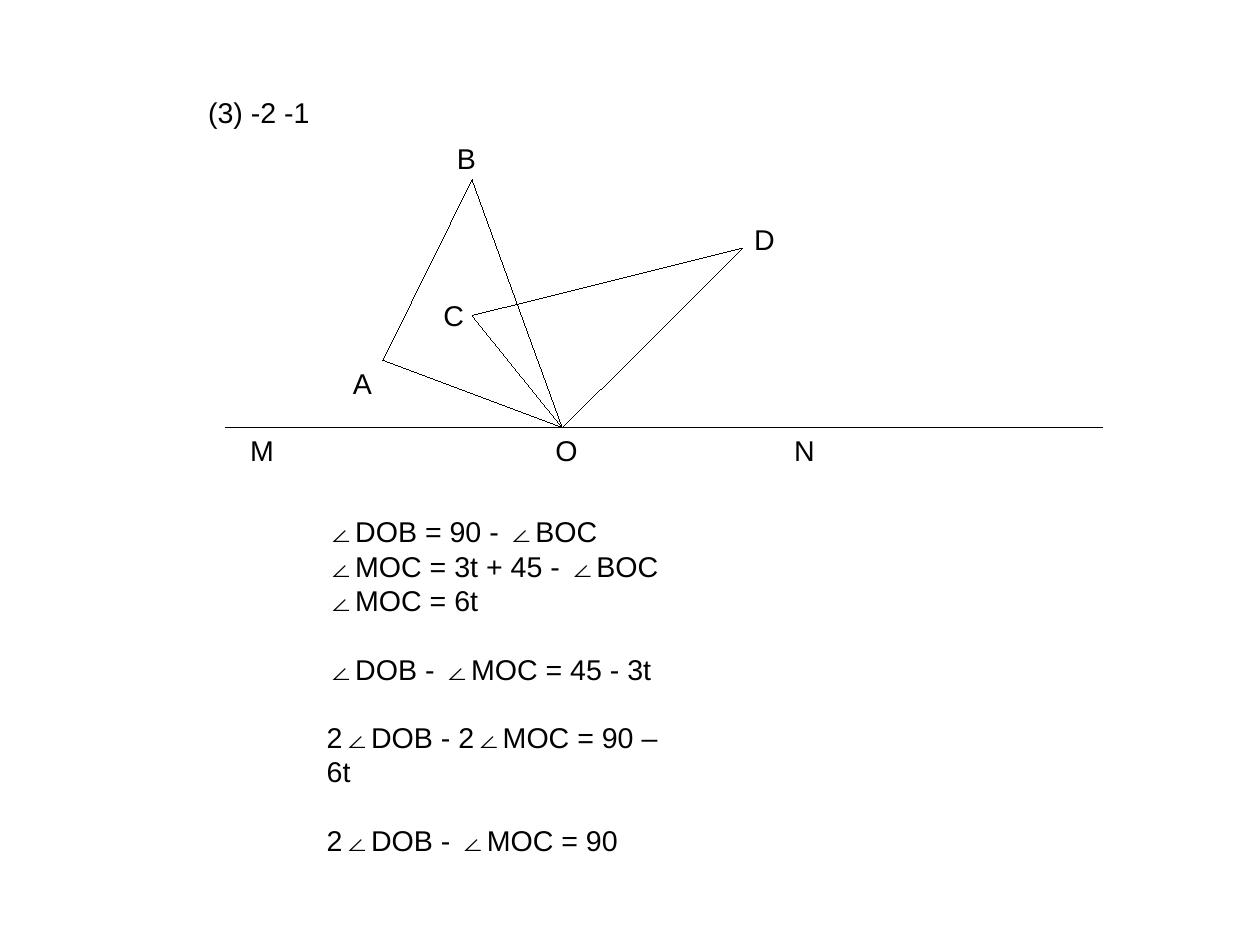
import pptx
import pptx.dml.color
import pptx.enum.shapes
import pptx.enum.text
import pptx.oxml
import pptx.util
from dataclasses import dataclass

Inches = pptx.util.Inches
Pt = pptx.util.Pt
Text = pptx.enum.text


@dataclass(frozen=True)
class Theme:
    ink = pptx.dml.color.RGBColor(0, 0, 0)
    font = "Arial"
    size = Pt(18)
    gap = Pt(21.6)
    hair = Pt(0.01)


THEME = Theme()
FRAME = {
    "margin_left": Inches(0.1), "margin_right": Inches(0.1),
    "margin_top": Inches(0.05), "margin_bottom": Inches(0.05),
    "vertical_anchor": Text.MSO_ANCHOR.TOP,
    "auto_size": Text.MSO_AUTO_SIZE.SHAPE_TO_FIT_TEXT,
}
FONT = {"name": THEME.font, "size": THEME.size}

# Points and label corners are measured from the figure's top left.
POINTS = {
    "M": (0, 2.56), "N": (7.68, 2.56), "O": (2.95, 2.56),
    "A": (1.38, 1.97), "B": (2.16, 0.39),
    "C": (2.16, 1.58), "D": (4.53, 0.99),
}
EDGES = ["MN", "BA", "BO", "OC", "OD", "CD", "AO"]
# Left, top and width of each label.
LABELS = {
    "M": (0.12, 2.56, 0.41), "A": (1.02, 1.97, 0.36),
    "O": (2.79, 2.56, 0.39), "N": (4.88, 2.56, 0.38),
    "D": (4.53, 0.71, 0.38), "B": (1.93, 0, 0.36), "C": (1.81, 1.38, 0.38),
}
STEPS = [
    ["∠DOB = 90 - ∠BOC", "∠MOC = 3t + 45 - ∠BOC", "∠MOC = 6t"],
    ["∠DOB - ∠MOC = 45 - 3t"],
    ["2∠DOB - 2∠MOC = 90 – 6t"],
    ["2∠DOB - ∠MOC = 90"],
]


def apply(target, values):
    for name, value in values.items():
        setattr(target, name, value)


def write(shape, groups, wrap=False):
    """Fill the shape with paragraphs, leaving a gap between groups."""
    frame = shape.text_frame
    apply(frame, {**FRAME, "word_wrap": wrap})
    frame.text = "\n".join(line for group in groups for line in group)
    lines = iter(frame.paragraphs)
    for index, group in enumerate(groups):
        for row, _ in enumerate(group):
            line = next(lines)
            line.alignment = Text.PP_ALIGN.LEFT
            line.space_before = THEME.gap if index and not row else Pt(0)
            apply(line.font, FONT)
            line.font.color.rgb = THEME.ink


def add_title(slide, left, top, width, height):
    title = slide.shapes.title
    apply(title, {"left": Inches(left), "top": Inches(top),
                  "width": Inches(width), "height": Inches(height)})
    write(title, [["(3) -2 -1"]])


def add_text(slide, box, groups, wrap=False):
    shape = slide.shapes.add_textbox(*map(Inches, box))
    write(shape, groups, wrap)


def add_edge(slide, start, end):
    edge = slide.shapes.add_connector(
        pptx.enum.shapes.MSO_CONNECTOR.STRAIGHT, *map(Inches, start + end))
    edge.line.color.rgb = THEME.ink
    edge.line.width = THEME.hair
    edge._element.spPr.append(pptx.oxml.parse_xml(
        '<a:effectLst xmlns:a='
        '"http://schemas.openxmlformats.org/drawingml/2006/main"/>'))


def add_figure(slide, left, top):
    def place(spot):
        return left + spot[0], top + spot[1]

    for start, end in EDGES:
        add_edge(slide, place(POINTS[start]), place(POINTS[end]))
    for name, (*spot, width) in LABELS.items():
        add_text(slide, (*place(spot), width, 0.38), [[name]])


def main():
    deck = pptx.Presentation()
    # 28 by 21 cm, rounded to quarter points
    deck.slide_width = Pt(793.75)
    deck.slide_height = Pt(595.25)
    slide = deck.slides.add_slide(deck.slide_layouts.get_by_name("Title Only"))
    add_title(slide, 1.72, 0.78, 1.09, 0.38)
    add_figure(slide, 1.97, 1.18)
    add_text(slide, (2.76, 4.45, 3.29, 2.62), STEPS, wrap=True)
    deck.save("out.pptx")


if __name__ == "__main__":
    main()
